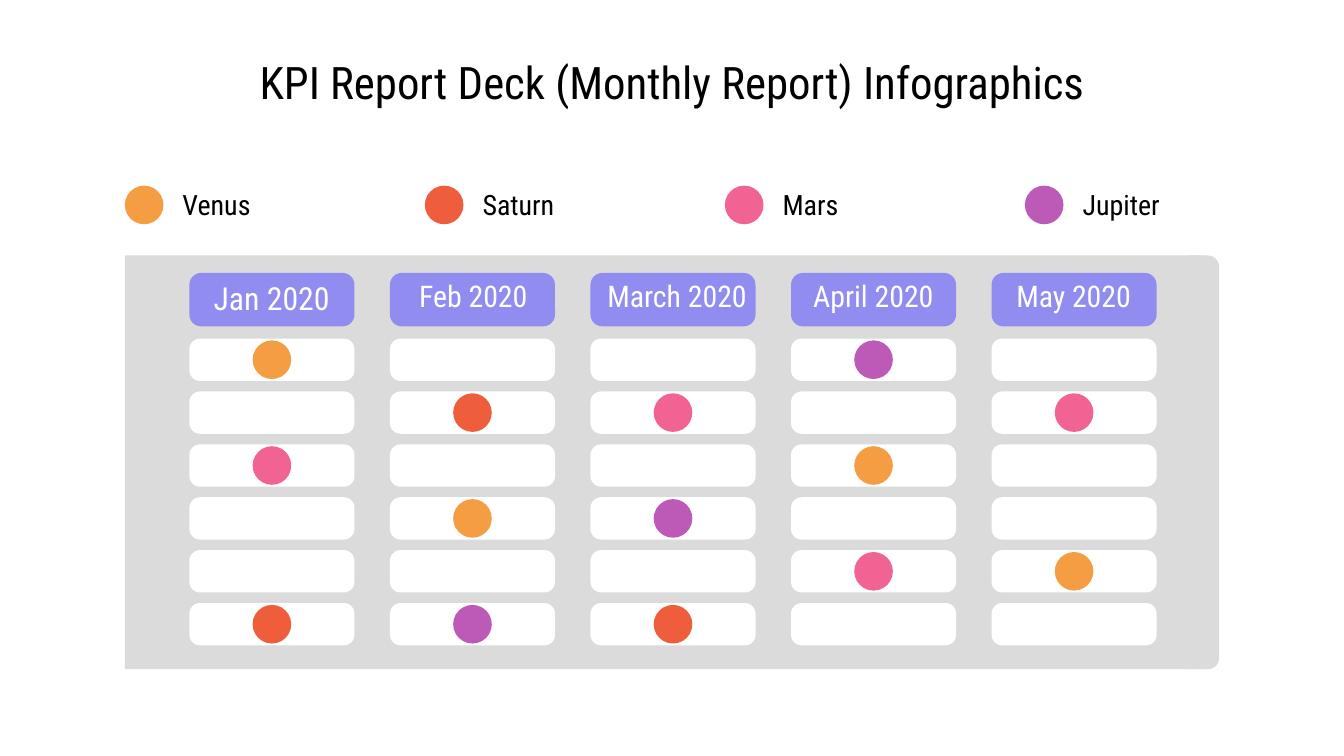
from pptx import Presentation
from pptx.dml.color import RGBColor
from pptx.enum.shapes import MSO_SHAPE as Shape
from pptx.enum.text import MSO_ANCHOR as Anchor, MSO_AUTO_SIZE as AutoSize, PP_ALIGN as Align
from pptx.oxml.ns import qn
from pptx.util import Cm, Pt

FONT = "Roboto Condensed"
GREY, LILAC, WHITE, BLACK = "DBDBDB", "918DF0", "FFFFFF", "000000"
PLANETS = {"Venus": "F59D43", "Saturn": "EE5E3C", "Mars": "F06393", "Jupiter": "BD5AB7"}
MONTHS = {
    "Jan 2020": {0: "Venus", 2: "Mars", 5: "Saturn"},
    "Feb 2020": {1: "Saturn", 3: "Venus", 5: "Jupiter"},
    "March 2020": {1: "Mars", 3: "Jupiter", 5: "Saturn"},
    "April 2020": {0: "Jupiter", 2: "Venus", 4: "Mars"},
    "May 2020": {1: "Mars", 4: "Venus"},
}
ROWS = 6
LEFT, TOP = 2.36, 4.83
CELL_X, CELL_Y, CELL_W, CELL_H = 3.58, 6.4, 3.12, 0.8
STEP_X, STEP_Y = 3.79, 1.0
DOT = 0.73
NO_GRID_STYLE = "{2D5ABB26-0587-4C30-8999-92F81FD0307C}"


def rgb(color):
    """Turn a hex string into a colour."""
    return RGBColor.from_string(color)


def write(tf, text, size=15, color=BLACK, align=Align.LEFT, anchor=Anchor.MIDDLE):
    """Put formatted text into a text frame."""
    tf.vertical_anchor = anchor
    p = tf.paragraphs[0]
    p.alignment = align
    r = p.add_run()
    r.text = text
    r.font.name, r.font.size = FONT, Pt(size)
    r.font.color.rgb = rgb(color)


def add_box(s, kind, x, y, w, h, color, radius=None):
    """Add a plain filled shape without outline."""
    sp = s.shapes.add_shape(kind, Cm(x), Cm(y), Cm(w), Cm(h))
    sp.shadow.inherit = False
    sp.fill.solid()
    sp.fill.fore_color.rgb = rgb(color)
    sp.line.fill.background()
    if radius is not None:
        sp.adjustments[0] = radius


def add_dot(s, x, y, planet):
    """Add the marker of a planet."""
    add_box(s, Shape.OVAL, x, y, DOT, DOT, PLANETS[planet])


def add_title(s, text):
    """Place and fill the title."""
    sp = s.shapes.title
    sp.left, sp.top, sp.width, sp.height = Cm(1.4), Cm(1.27), Cm(22.61), Cm(0.53)
    tf = sp.text_frame
    tf.auto_size = AutoSize.NONE
    write(tf, text, size=24, align=Align.CENTER)


def add_legend(s):
    """Add one dot and one name per planet."""
    for i, planet in enumerate(PLANETS):
        x = LEFT + 5.67 * i
        sp = s.shapes.add_textbox(Cm(x + 0.84), Cm(3.33), Cm(2.82), Cm(1.07))
        sp.text_frame.word_wrap = True
        write(sp.text_frame, planet)
        add_dot(s, x, 3.51, planet)


def add_grid(s):
    """Add the panel, the month columns and their markers."""
    add_box(s, Shape.RECTANGLE, LEFT, TOP, 20.35, 7.82, GREY)
    add_box(s, Shape.ROUNDED_RECTANGLE, 22.28, TOP, 0.76, 7.82, GREY, 0.275)
    for col, marks in enumerate(MONTHS.values()):
        x = CELL_X + STEP_X * col
        add_box(s, Shape.ROUNDED_RECTANGLE, x, 5.16, CELL_W, 1.01, LILAC, 0.22)
        for row in range(ROWS):
            y = CELL_Y + STEP_Y * row
            add_box(s, Shape.ROUNDED_RECTANGLE, x, y, CELL_W, CELL_H, WHITE, 0.25)
            if row in marks:
                add_dot(s, x + (CELL_W - DOT) / 2, y + (CELL_H - DOT) / 2, marks[row])


def add_month_table(s):
    """Add the transparent table that holds the month names."""
    widths = [3.81, 3.81, 3.89, 3.53, 4.04]
    heights = [1.22] + [0.99] * ROWS
    frame = s.shapes.add_table(len(heights), len(widths), Cm(3.23), Cm(5.05),
                               Cm(sum(widths)), Cm(sum(heights)))
    table = frame.table
    table.first_row = table.horz_banding = False
    table._tbl.tblPr.find(qn("a:tableStyleId")).text = NO_GRID_STYLE
    for column, width in zip(table.columns, widths):
        column.width = Cm(width)
    for row, height in zip(table.rows, heights):
        row.height = Cm(height)
    for cell in table.iter_cells():
        cell.fill.background()
        cell.margin_top = cell.margin_bottom = Cm(0)
    for col, month in enumerate(MONTHS):
        cell = table.cell(0, col)
        cell.margin_top = cell.margin_bottom = Cm(0.25)
        first = col == 0
        anchor = Anchor.MIDDLE if first else Anchor.TOP
        write(cell.text_frame, month, size=17 if first else 16, color=WHITE, align=Align.CENTER)
        cell.vertical_anchor = anchor


def main():
    """Build and save the slide."""
    prs = Presentation()
    prs.slide_width, prs.slide_height = Cm(25.4), Cm(14.29)
    s = prs.slides.add_slide(prs.slide_layouts[5])
    add_title(s, "KPI Report Deck (Monthly Report) Infographics")
    add_grid(s)
    add_legend(s)
    add_month_table(s)
    prs.save("out.pptx")


if __name__ == "__main__":
    main()
